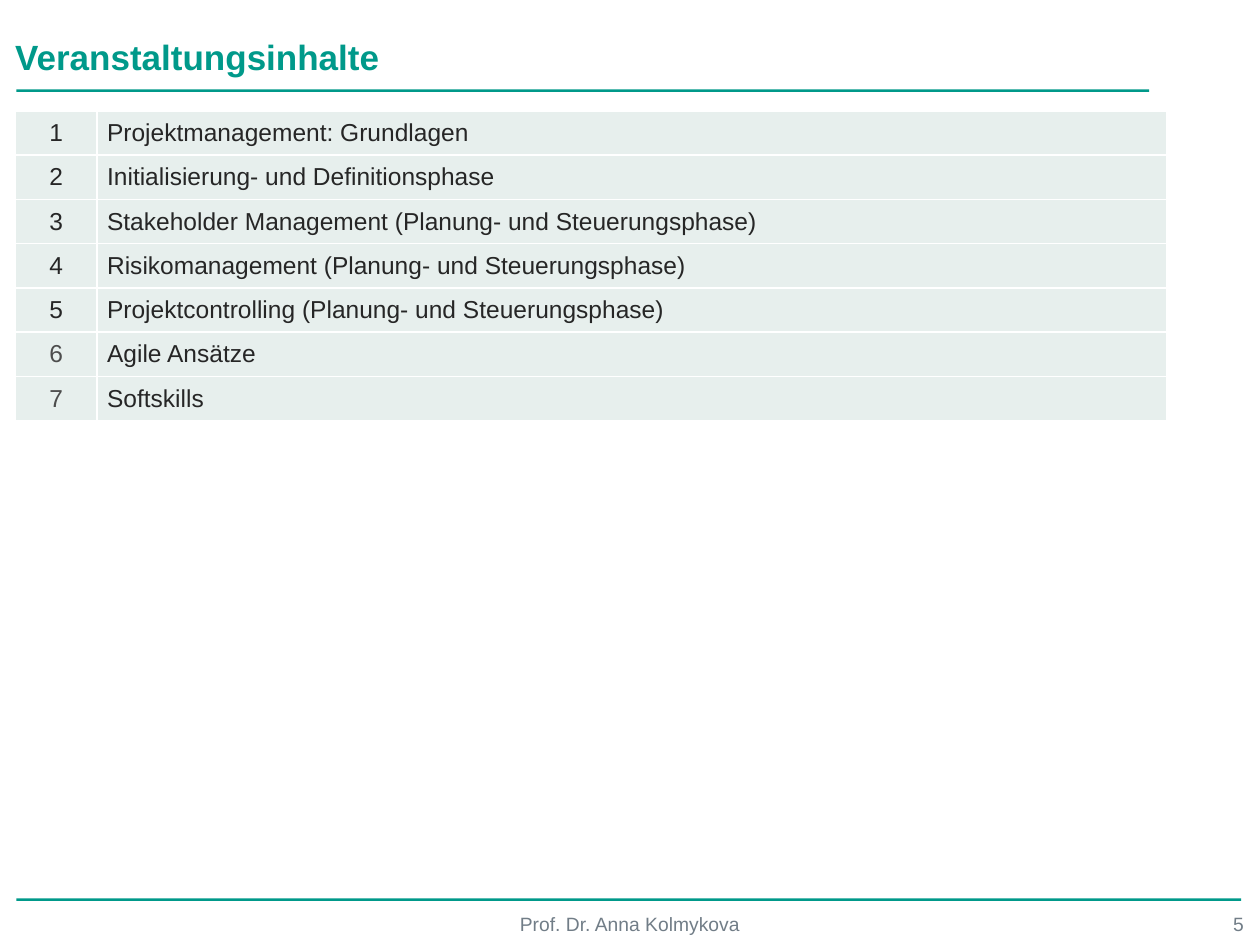
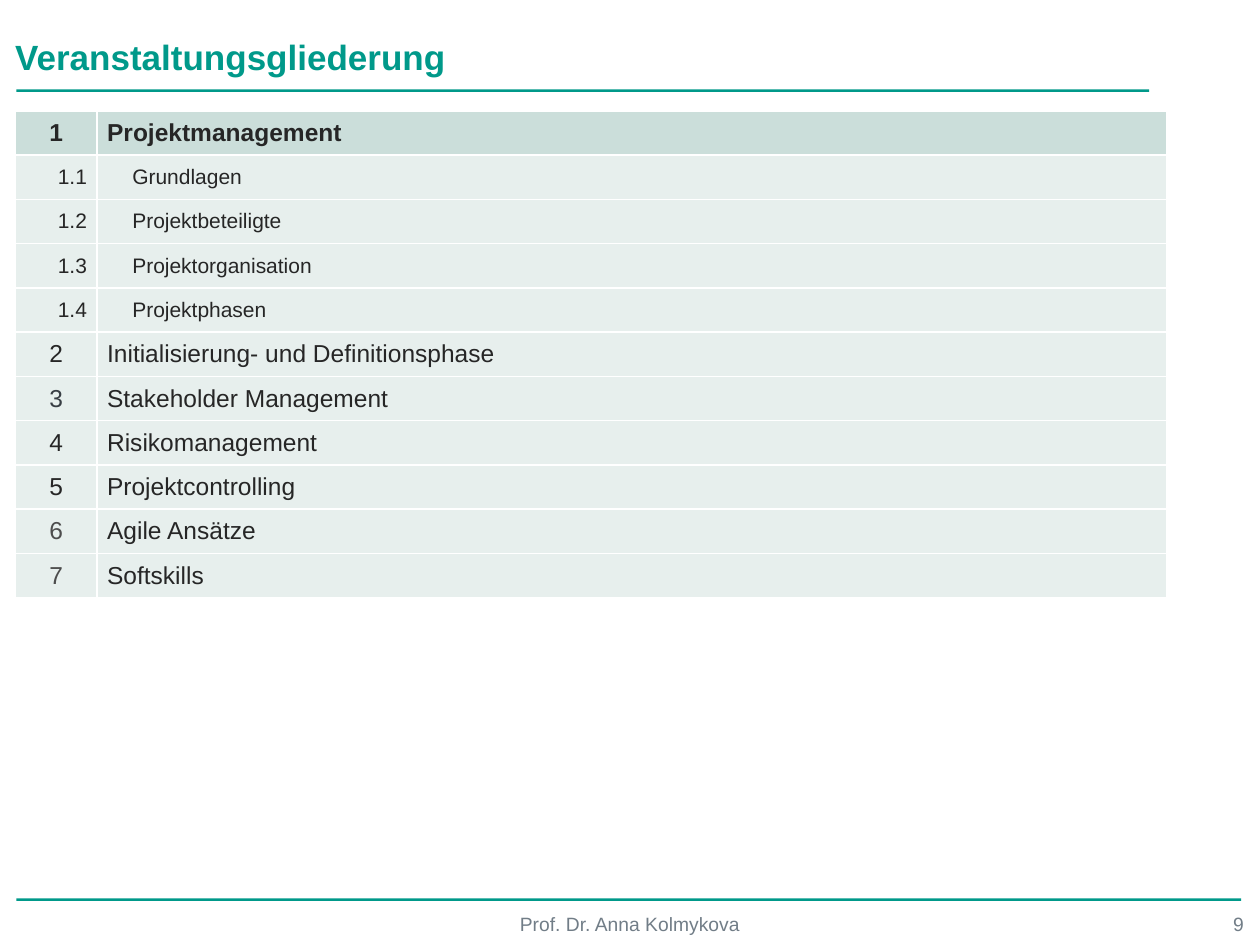
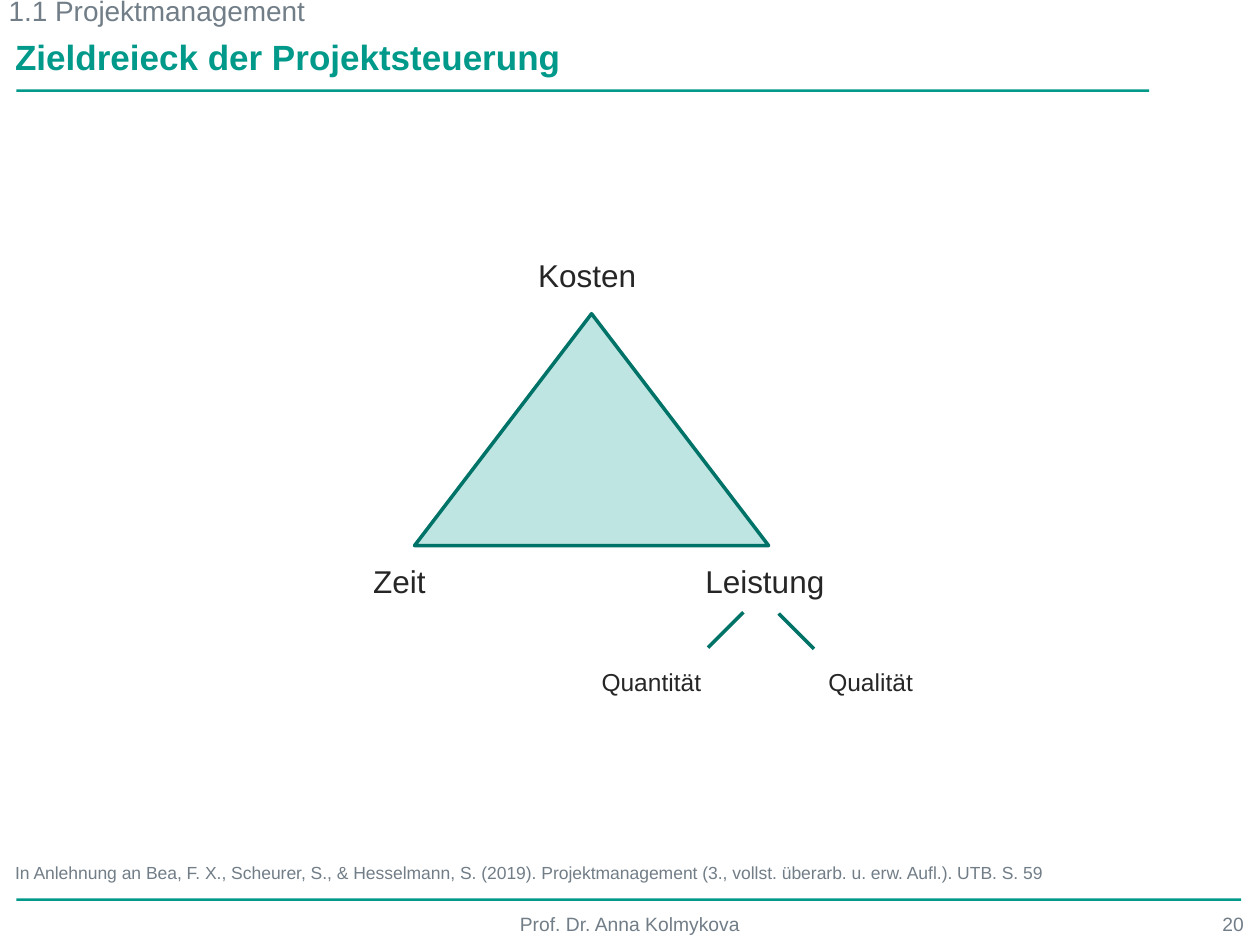
from lxml import etree
from pptx import Presentation
from pptx import util as u
from pptx.dml.color import RGBColor
from pptx.enum import shapes, text
from pptx.oxml import ns

INK = {
    "teal": "00998A", "edge": "007368", "pale": "BFE5E2", "gray": "717D87",
    "text": "262626", "dim": "4D4D4D", "slate": "383E44",
    "row": "E7EFED", "head": "CBDEDA", "white": "FFFFFF",
}
FONT = "Arial"
LEFT, MID, RIGHT = text.PP_ALIGN.LEFT, text.PP_ALIGN.CENTER, text.PP_ALIGN.RIGHT
TOP, CENTER, LOW = (text.MSO_ANCHOR.TOP, text.MSO_ANCHOR.MIDDLE,
                    text.MSO_ANCHOR.BOTTOM)
AUTHOR = "Prof. Dr. Anna Kolmykova"


def ink(name):
    """Return the named colour."""
    return RGBColor.from_string(INK[name])


def box(*sizes):
    """Turn numbers into lengths in inches."""
    return [u.Inches(size) for size in sizes]


class Deck:
    """Hold the style and the current slide."""

    def __init__(self):
        """Start an empty deck."""
        self.prs = Presentation()
        self.prs.slide_width, self.prs.slide_height = box(10, 7.5)

    def page(self, title, number):
        """Add a slide with its title, rules and footer."""
        self.slide = self.prs.slides.add_slide(self.prs.slide_layouts[5])
        self.items = self.slide.shapes
        head = self.items.title
        head.left, head.top, head.width, head.height = box(0.02, 0.23, 9.12, 0.39)
        self.fill(head.text_frame, title, 20, "teal", LEFT, bold=True)
        for top, width in ((7.13, 9.72), (0.71, 8.99)):
            self.shape("RECTANGLE", (0.13, top, width, 0.02), "teal")
        self.label(AUTHOR, (1.96, 7.19, 6.08, 0.31), 11, "gray", MID)
        self.label(str(number), (8.3, 7.19, 1.67, 0.31), 11, "gray", RIGHT)

    def fill(self, frame, words, size, tone, align, bold=False,
             pad=(0.1, 0.05, 0.1, 0.05), anchor=TOP):
        """Put one styled paragraph into a text frame."""
        frame.word_wrap = True
        frame.auto_size = text.MSO_AUTO_SIZE.NONE
        frame.vertical_anchor = anchor
        (frame.margin_left, frame.margin_top,
         frame.margin_right, frame.margin_bottom) = box(*pad)
        self.style(frame.paragraphs[0], words, size, tone, align, bold)

    def style(self, para, words, size, tone, align, bold=False):
        """Set and format one paragraph."""
        para.text, para.alignment = words, align
        font = para.font
        font.name, font.size, font.bold = FONT, u.Pt(size), bold
        font.color.rgb = ink(tone)

    def label(self, words, place, size, tone, align, **look):
        """Add a text box."""
        frame = self.items.add_textbox(*box(*place)).text_frame
        self.fill(frame, words, size, tone, align, **look)

    def shape(self, kind, place, tone, edge=None):
        """Add a filled preset shape."""
        form = self.items.add_shape(shapes.MSO_SHAPE[kind], *box(*place))
        form.shadow.inherit = False
        form.fill.solid()
        form.fill.fore_color.rgb = ink(tone)
        if edge:
            form.line.color.rgb, form.line.width = ink(edge), u.Pt(2)
        else:
            form.line.fill.background()

    def line(self, *ends):
        """Add a straight line."""
        link = self.items.add_connector(shapes.MSO_CONNECTOR.STRAIGHT, *box(*ends))
        link.line.color.rgb, link.line.width = ink("edge"), u.Pt(2)
        etree.SubElement(link._element.spPr, ns.qn("a:effectLst"))

    def cell(self, cell, words, size, tone, align, back, bold):
        """Format one table cell with white borders."""
        props = cell._tc.get_or_add_tcPr()
        for side in ("lnL", "lnR", "lnT", "lnB"):
            rule = etree.SubElement(props, ns.qn("a:" + side), w=str(u.Pt(1)))
            solid = etree.SubElement(rule, ns.qn("a:solidFill"))
            etree.SubElement(solid, ns.qn("a:srgbClr"), val=INK["white"])
        cell.fill.solid()
        cell.fill.fore_color.rgb = ink(back)
        cell.vertical_anchor = CENTER
        cell.margin_left = cell.margin_right = u.Inches(0.08)
        cell.margin_top = cell.margin_bottom = 0
        self.style(cell.text_frame.paragraphs[0], words, size, tone, align, bold)

    def table(self, rows, tones, active=None):
        """Add a numbered outline and mark the active chapter."""
        high = u.Pt(25.3)
        left, top, width = box(0.12, 0.88, 9.14)
        grid = self.items.add_table(
            len(rows), 2, left, top, width, high * len(rows)).table
        grid.first_row = grid.horz_banding = False
        for col, wide in zip(grid.columns, box(0.65, 8.49)):
            col.width = wide
        for row, (number, topic) in enumerate(rows):
            grid.rows[row].height = high
            sub, bold = "." in number, number == active
            size, back = 12 if sub else 14, "head" if bold else "row"
            self.cell(grid.cell(row, 0), number, size, tones.get(number, "text"),
                      RIGHT if sub else MID, back, bold)
            name = grid.cell(row, 1)
            self.cell(name, topic, size, "text", LEFT, back, bold)
            if sub:
                para = name.text_frame.paragraphs[0]._p.get_or_add_pPr()
                para.set("marL", "0")
                para.set("indent", str(u.Inches(0.2)))


def main():
    """Build the three slides."""
    deck = Deck()
    late = {"6": "dim", "7": "dim"}

    deck.page("Veranstaltungsinhalte", 5)
    deck.table([
        ("1", "Projektmanagement: Grundlagen"),
        ("2", "Initialisierung- und Definitionsphase"),
        ("3", "Stakeholder Management (Planung- und Steuerungsphase)"),
        ("4", "Risikomanagement (Planung- und Steuerungsphase)"),
        ("5", "Projektcontrolling (Planung- und Steuerungsphase)"),
        ("6", "Agile Ansätze"),
        ("7", "Softskills"),
    ], late)

    deck.page("Veranstaltungsgliederung", 9)
    deck.table([
        ("1", "Projektmanagement"),
        ("1.1", "Grundlagen"),
        ("1.2", "Projektbeteiligte"),
        ("1.3", "Projektorganisation"),
        ("1.4", "Projektphasen"),
        ("2", "Initialisierung- und Definitionsphase"),
        ("3", "Stakeholder Management"),
        ("4", "Risikomanagement"),
        ("5", "Projektcontrolling"),
        ("6", "Agile Ansätze"),
        ("7", "Softskills"),
    ], {**late, "3": "slate"}, active="1")

    deck.page("Zieldreieck der Projektsteuerung", 20)
    deck.label("1.1 Projektmanagement", (-0.03, -0.1, 5.03, 0.37), 16, "gray", LEFT)
    deck.shape("ISOSCELES_TRIANGLE", (3.29, 2.49, 2.81, 1.84), "pale", "edge")
    tight = (0, 0.04, 0, 0.04)
    for goal, left, top in (("Kosten", 4.08, 1.99), ("Leistung", 5.49, 4.42),
                            ("Zeit", 2.59, 4.42)):
        deck.label(goal, (left, top, 1.16, 0.43), 18, "text", MID, pad=tight)
    for part, left in (("Quantität", 4.72), ("Qualität", 6.46)):
        deck.label(part, (left, 5.25, 0.9, 0.28), 14, "text", MID, pad=tight)
    deck.line(5.9, 4.86, 5.62, 5.14)
    deck.line(6.18, 4.87, 6.46, 5.15)
    deck.label("In Anlehnung an Bea, F. X., Scheurer, S., & Hesselmann, S. (2019). "
               "Projektmanagement (3., vollst. überarb. u. erw. Aufl.). UTB. S. 59",
               (0.12, 6.69, 9.13, 0.32), 10, "gray", LEFT,
               pad=(0, 0.05, 0, 0), anchor=LOW)

    deck.prs.save("out.pptx")


if __name__ == "__main__":
    main()
